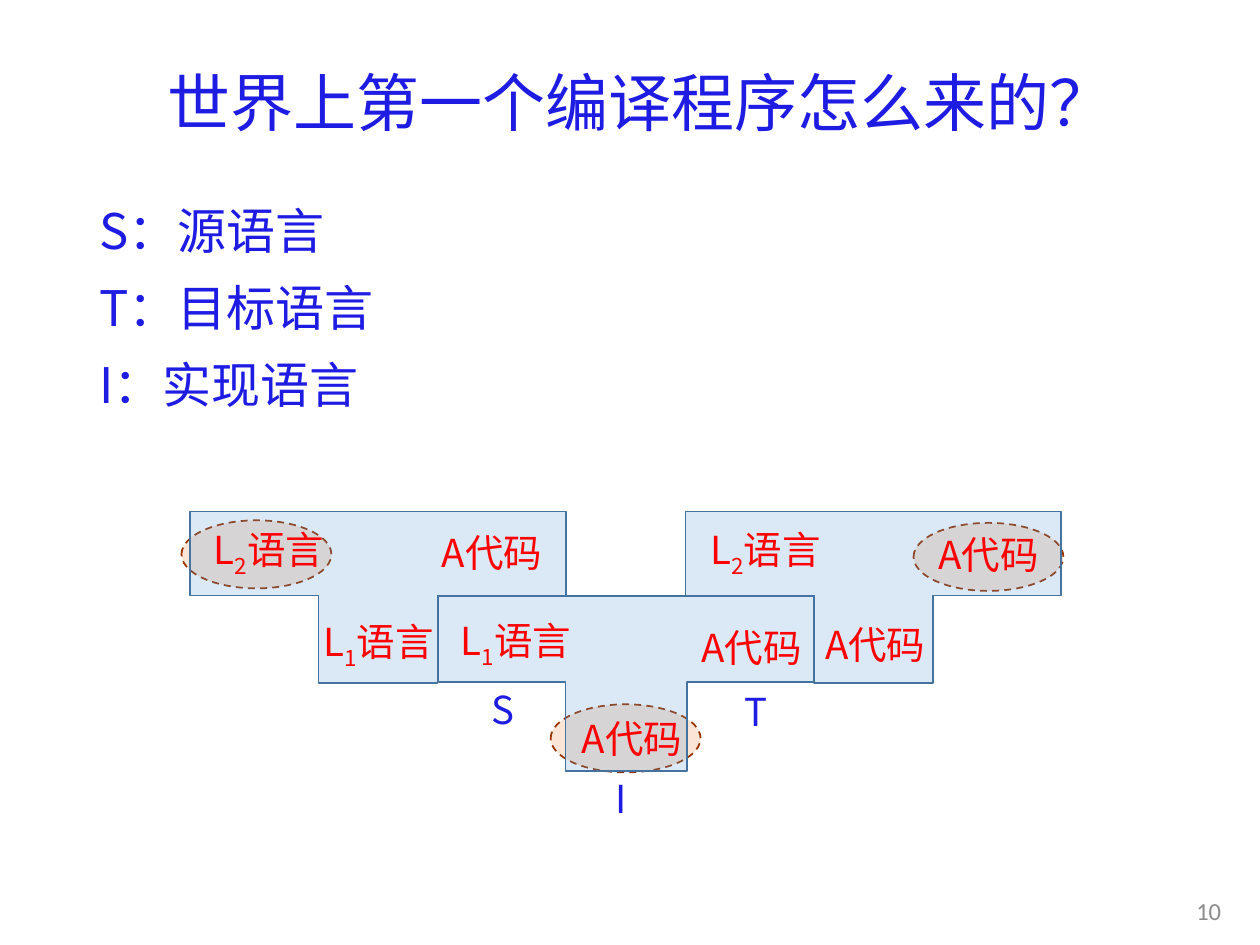
from lxml import etree
from pptx import Presentation
from pptx.dml.color import RGBColor
from pptx.enum import dml, shapes, text
from pptx.oxml.ns import qn
from pptx.util import Inches, Pt

BLUE = RGBColor(0x1E, 0x1C, 0xE3)
RED = RGBColor(0xFF, 0x00, 0x00)
GRAY = RGBColor(0x8C, 0x8C, 0x8C)
T_FILL = RGBColor(0x5B, 0x9B, 0xD5)
T_LINE = RGBColor(0x43, 0x73, 0x9E)
MARK_FILL = RGBColor(0xFB, 0xE5, 0xD6)
MARK_LINE = RGBColor(0x99, 0x33, 0x00)
CJK = "Noto Sans CJK SC"
CENTER, LEFT, RIGHT = text.PP_ALIGN.CENTER, text.PP_ALIGN.LEFT, text.PP_ALIGN.RIGHT


def add_run(paragraph, words, size, color, font=CJK, subscript=False):
    run = paragraph.add_run()
    run.text = words
    run.font.size = Pt(size)
    run.font.color.rgb = color
    run.font.name = font
    properties = run._r.get_or_add_rPr()
    etree.SubElement(properties, qn("a:ea")).set("typeface", font)
    if subscript:
        properties.set("baseline", "-25000")


def add_label(left, top, width, height, align=CENTER):
    box = slide.shapes.add_textbox(Inches(left), Inches(top), Inches(width), Inches(height))
    frame = box.text_frame
    frame.word_wrap = True
    frame.vertical_anchor = text.MSO_ANCHOR.MIDDLE
    frame.paragraphs[0].alignment = align
    return frame.paragraphs[0]


prs = Presentation()
prs.slide_width, prs.slide_height = Inches(10), Inches(7.5)
slide = prs.slides.add_slide(prs.slide_layouts[1])

# Title
title = slide.shapes.title
title.left, title.top, title.width, title.height = map(Inches, (0.77, 0.32, 8.62, 1.05))
title.text_frame.vertical_anchor = text.MSO_ANCHOR.MIDDLE
heading = title.text_frame.paragraphs[0]
heading.alignment = CENTER
heading.line_spacing = 0.9
add_run(heading, "世界上第一个编译程序怎么来的？", 36, BLUE)

# Legend of the three languages
legend = slide.placeholders[1]
legend.left, legend.top, legend.width, legend.height = map(Inches, (0.69, 1.62, 3.3, 1.97))
legend.text_frame.auto_size = text.MSO_AUTO_SIZE.NONE
for i, words in enumerate(("S：源语言", "T：目标语言", "I：实现语言")):
    entry = legend.text_frame.paragraphs[0] if i == 0 else legend.text_frame.add_paragraph()
    layout = entry._p.get_or_add_pPr()
    layout.set("marL", "0")
    layout.set("indent", "0")
    etree.SubElement(layout, qn("a:buNone"))
    entry.line_spacing = 0.83
    entry.space_before = Pt(10 if i else 0)
    entry.space_after = Pt(6)
    add_run(entry, words, 28, BLUE)

# Dashed marks behind the diagram
for left, top in ((4.37, 5.59), (1.44, 4.13), (7.25, 4.15)):
    mark = slide.shapes.add_shape(shapes.MSO_SHAPE.OVAL, Inches(left), Inches(top),
                                  Inches(1.19), Inches(0.54))
    mark.shadow.inherit = False
    mark.fill.solid()
    mark.fill.fore_color.rgb = MARK_FILL
    mark.line.color.rgb = MARK_LINE
    mark.line.width = Pt(1)
    mark.line.dash_style = dml.MSO_LINE.DASH

# T-shaped compilers
for left, top, height in ((3.48, 4.73, 1.39), (5.44, 4.06, 1.36), (1.51, 4.06, 1.36)):
    compiler = slide.shapes.add_shape(shapes.MSO_SHAPE.DOWN_ARROW_CALLOUT, Inches(left),
                                      Inches(top), Inches(2.98), Inches(height))
    for i, value in enumerate((0.695, 0.347, 0, 0.491)):
        compiler.adjustments[i] = value
    compiler.shadow.inherit = False
    compiler.fill.solid()
    compiler.fill.fore_color.rgb = T_FILL
    tint = compiler.fill._xPr.find(qn("a:solidFill"))[0]
    etree.SubElement(tint, qn("a:alpha")).set("val", "22000")
    compiler.line.color.rgb = T_LINE
    compiler.line.width = Pt(1)

# Machine code labels
for left, top in ((4.36, 5.51), (5.31, 4.79), (3.25, 4.04), (6.29, 4.77), (7.19, 4.05)):
    add_run(add_label(left, top, 1.31, 0.69), "A代码", 22, RED)

# Numbered language labels
for left, top, number in ((3.44, 4.76, "1"), (2.35, 4.77, "1"),
                          (5.42, 4.04, "2"), (1.48, 4.04, "2")):
    language = add_label(left, top, 1.31, 0.69)
    add_run(language, "L", 22, RED)
    add_run(language, number, 22, RED, subscript=True)
    add_run(language, "语言", 22, RED)

# Letters around the middle compiler
for letter, left, top, width, height, align in (("S", 3.56, 5.36, 0.87, 0.54, CENTER),
                                                ("I", 4.5, 6.09, 0.86, 0.49, CENTER),
                                                ("T", 5.81, 5.37, 0.64, 0.54, LEFT)):
    add_run(add_label(left, top, width, height, align), letter, 22, BLUE)

# Slide number
add_run(add_label(9.34, 7.03, 0.45, 0.4, RIGHT), "10", 14, GRAY, font="Calibri")

prs.save("out.pptx")
